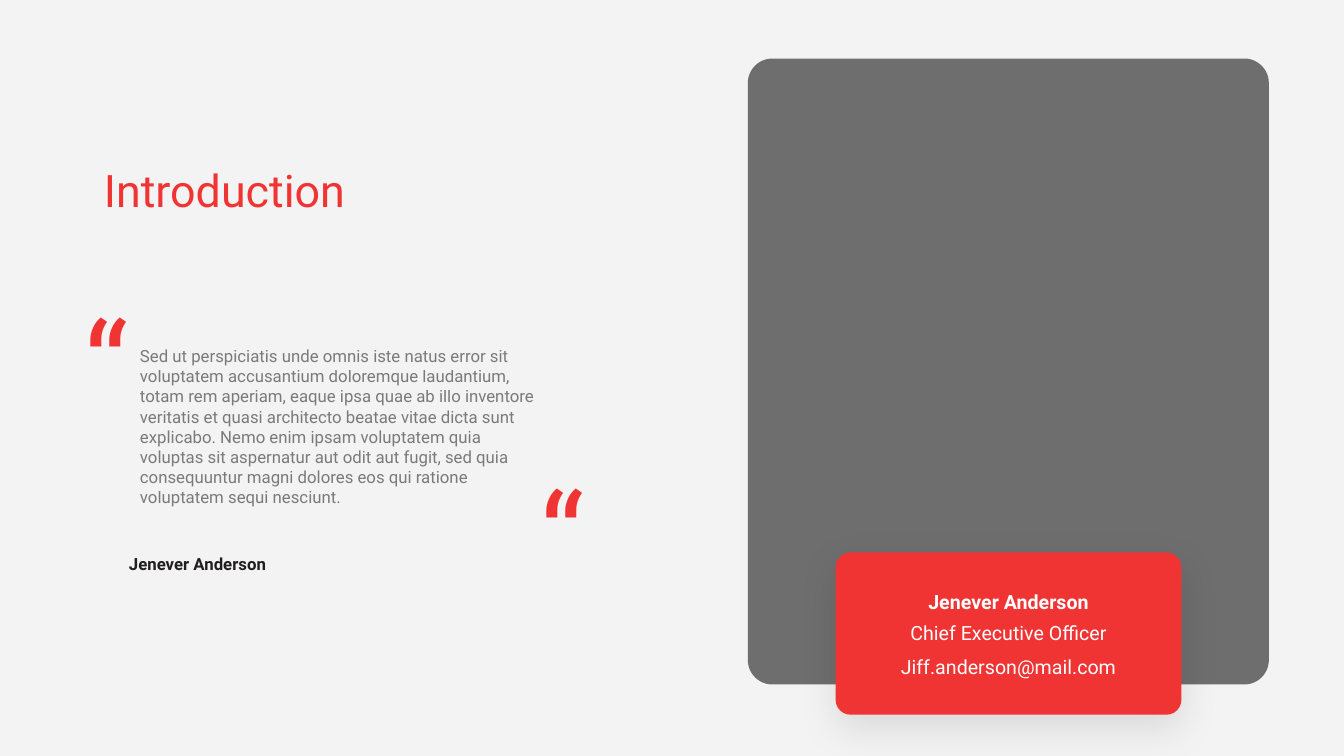
from dataclasses import dataclass

from lxml.etree import SubElement
from pptx import Presentation
from pptx.dml.color import RGBColor
from pptx.enum.shapes import MSO_SHAPE
from pptx.enum.text import MSO_ANCHOR, MSO_AUTO_SIZE, PP_ALIGN
from pptx.oxml.ns import qn
from pptx.util import Pt


@dataclass(frozen=True)
class Theme:
    """Colours, font and type sizes of the slide."""
    background: str = "F3F3F3"
    accent: str = "F03434"
    ink: str = "201E1E"
    panel: str = "2A2A2A"
    white: str = "FFFFFF"
    shadow: str = "000000"
    font: str = "Roboto"
    title: int = 32
    body: int = 12
    card: int = 14
    mark: int = 88


THEME = Theme()
QUOTE = (
    "Sed ut perspiciatis unde omnis iste natus error sit voluptatem accusantium "
    "doloremque laudantium, totam rem aperiam, eaque ipsa quae ab illo inventore "
    "veritatis et quasi architecto beatae vitae dicta sunt explicabo. Nemo enim "
    "ipsam voluptatem quia voluptas sit aspernatur aut odit aut fugit, sed quia "
    "consequuntur magni dolores eos qui ratione voluptatem sequi nesciunt."
)


def apply(target, formats):
    """Set every attribute named in formats on target."""
    for name, value in formats.items():
        setattr(target, name, value)


def place(shape, left, top, width, height):
    """Move and size a shape, in points."""
    apply(shape, {"left": Pt(left), "top": Pt(top),
                  "width": Pt(width), "height": Pt(height)})


def set_opacity(element, percent):
    """Give each colour inside element the opacity."""
    for colour in element.iter(qn("a:srgbClr")):
        SubElement(colour, qn("a:alpha"), val=str(percent * 1000))


def write(shape, text, size, colour, bold=False, anchor=MSO_ANCHOR.TOP,
          align=PP_ALIGN.LEFT, spacing=None, inset=None):
    """Fill a shape with one formatted paragraph and return its run."""
    frame = shape.text_frame
    apply(frame, {"word_wrap": True, "auto_size": MSO_AUTO_SIZE.NONE,
                  "vertical_anchor": anchor})
    if inset is not None:
        sides = ("left", "top", "right", "bottom")
        apply(frame, {f"margin_{side}": Pt(inset) for side in sides})
    paragraph = frame.paragraphs[0]
    apply(paragraph, {"alignment": align, "line_spacing": spacing})
    run = paragraph.add_run()
    run.text = text
    apply(run.font, {"name": THEME.font, "size": Pt(size), "bold": bold})
    run.font.color.rgb = RGBColor.from_string(colour)
    return run


def add_text(shapes, box, text, size, colour, **formats):
    """Add a text box at box and return its run."""
    shape = shapes.add_textbox(*map(Pt, box))
    return write(shape, text, size, colour, **formats)


def add_rounded(shapes, box, colour, radius):
    """Add a plain rounded rectangle with the corner radius in points."""
    shape = shapes.add_shape(MSO_SHAPE.ROUNDED_RECTANGLE, *map(Pt, box))
    shape.adjustments[0] = radius / min(box[2:])
    shape.fill.solid()
    shape.fill.fore_color.rgb = RGBColor.from_string(colour)
    shape.line.fill.background()
    shape.shadow.inherit = False
    return shape


def add_heading(slide, box):
    """Put the heading into the title placeholder."""
    title = slide.shapes.title
    place(title, *box)
    write(title, "Introduction", THEME.title, THEME.accent, anchor=MSO_ANCHOR.BOTTOM)


def add_quote(slide, box):
    """Add the quotation, its two marks and its author."""
    left, top, width, height = box
    run = add_text(slide.shapes, box, QUOTE, THEME.body, THEME.ink)
    set_opacity(run.font._element, 56)
    for across, down in ((-39.6, -41.8), (285.8, 80.6)):
        add_text(slide.shapes, (left + across, top + down, 69.1, 113.8), "“",
                 THEME.mark, THEME.accent, anchor=MSO_ANCHOR.MIDDLE)
    add_text(slide.shapes, (left - 7.9, top + height + 24.5, width, 21.6),
             "Jenever Anderson", THEME.body, THEME.ink, bold=True)


def add_portrait_panel(slide, box):
    """Add the translucent panel for the portrait."""
    panel = add_rounded(slide.shapes, box, THEME.panel, 17.5)
    set_opacity(panel.fill._xPr, 66)


def add_contact_card(slide, box):
    """Add the shadowed card with name, role and address."""
    left, top, width, _ = box
    shapes = slide.shapes.add_group_shape().shapes
    card = add_rounded(shapes, box, THEME.accent, 10.7)
    effects = card._element.spPr.find(qn("a:effectLst"))
    shadow = SubElement(effects, qn("a:outerShdw"), blurRad=str(Pt(29)),
                        dist=str(Pt(10)), dir=str(90 * 60000),
                        algn="t", rotWithShape="0")
    SubElement(shadow, qn("a:srgbClr"), val=THEME.shadow)
    set_opacity(effects, 10)
    lines = (
        ("Jenever Anderson", 26.6, 17.3, {"bold": True, "anchor": MSO_ANCHOR.BOTTOM}),
        ("Chief Executive Officer", 49, 17.3, {"anchor": MSO_ANCHOR.MIDDLE}),
        ("Jiff.anderson@mail.com", 76.3, 13.7, {"spacing": 0.8}),
    )
    for text, offset, height, formats in lines:
        add_text(shapes, (left + 8, top + offset, width - 16, height), text,
                 THEME.card, THEME.white, align=PP_ALIGN.CENTER, inset=0, **formats)


def main():
    """Build and save the introduction slide."""
    presentation = Presentation()
    apply(presentation, {"slide_width": Pt(960), "slide_height": Pt(540)})
    slide = presentation.slides.add_slide(presentation.slide_layouts[5])
    slide.background.fill.solid()
    slide.background.fill.fore_color.rgb = RGBColor.from_string(THEME.background)
    add_portrait_panel(slide, (534.2, 41.8, 372.2, 447.1))
    add_heading(slide, (67, 112.3, 327.6, 46.1))
    add_quote(slide, (92.9, 243.4, 301.7, 123.8))
    add_contact_card(slide, (596.9, 394.6, 247, 115.9))
    presentation.save("out.pptx")


if __name__ == "__main__":
    main()
